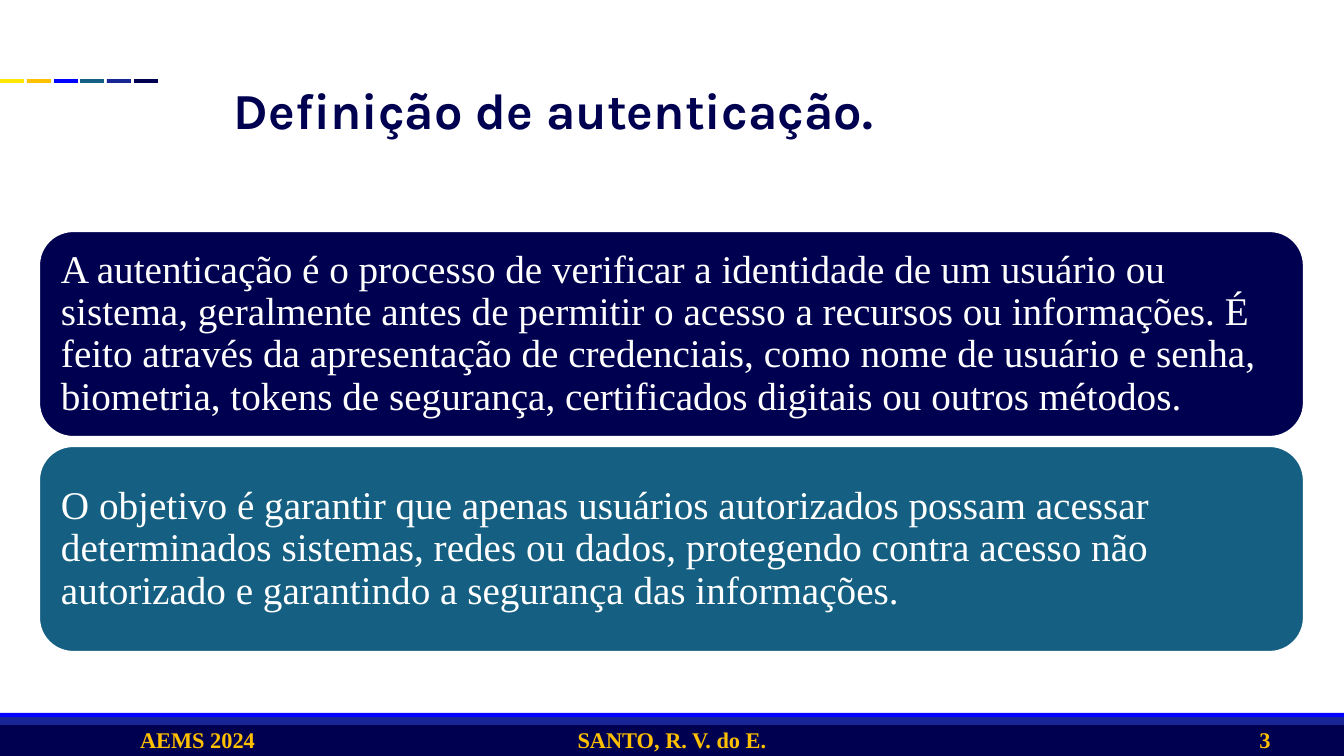
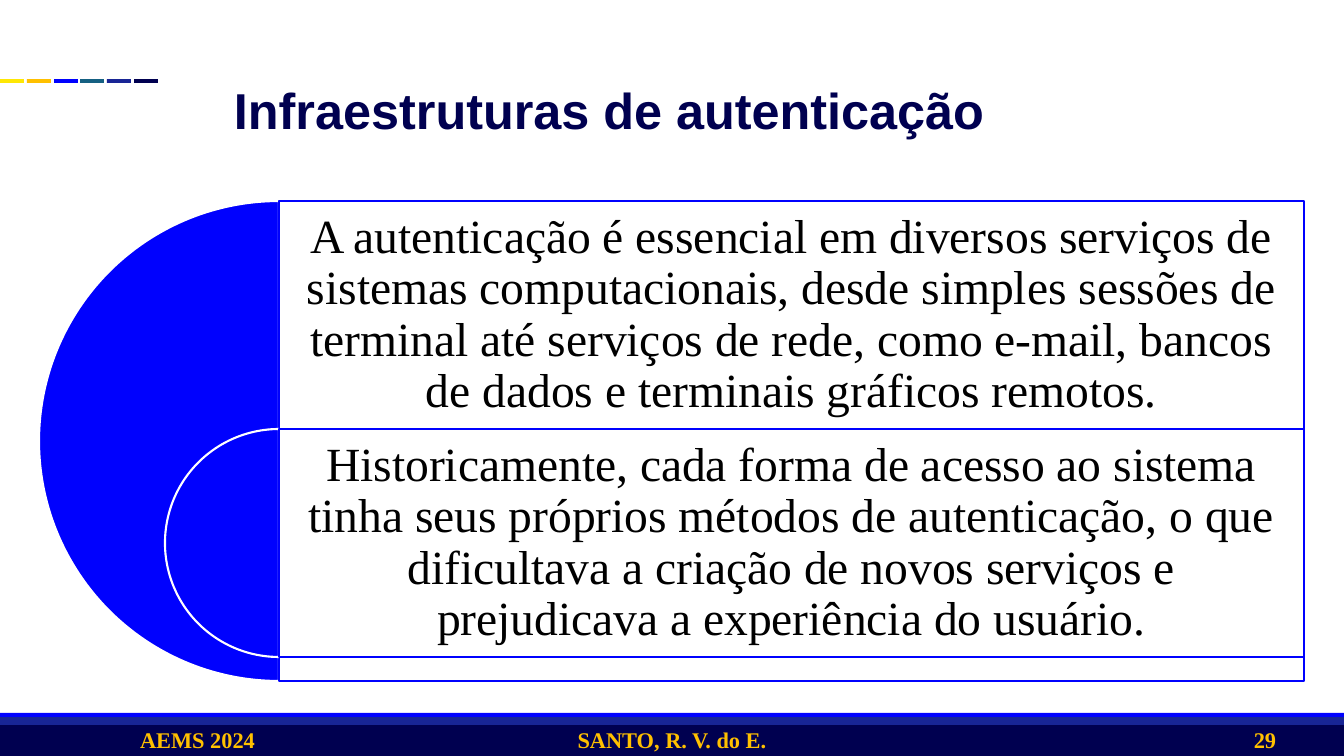
from lxml import etree
from pptx import Presentation
from pptx import util as u
from pptx.dml.color import RGBColor
from pptx.enum import shapes, text

WIDE, HIGH = 1344, 756
SCALE = 12192000 / WIDE
NAVY, ROYAL, BLUE, TEAL = "000050", "182595", "0001FE", "156082"
GOLD, LEMON, WHITE, BLACK = "FFC000", "FEE705", "FFFFFF", "000000"
SERIF = "Times New Roman"
DASHES = [LEMON, GOLD, BLUE, TEAL, ROYAL, NAVY]
BANDS = [(725, 31, NAVY), (717, 8, ROYAL), (713, 4, BLUE)]
KIND = shapes.MSO_SHAPE
ALIGN = text.PP_ALIGN
A = "http://schemas.openxmlformats.org/drawingml/2006/main"


def px(n):
    return u.Emu(round(n * SCALE))


def rgb(code):
    return RGBColor.from_string(code)


def write(shape, words, size=28, font=SERIF, color=WHITE, bold=False,
          align=ALIGN.LEFT, space=0.9, inset=10, tall=None):
    """Fill a shape with one formatted paragraph; tall is the vertical inset."""
    frame = shape.text_frame
    frame.word_wrap = True
    frame.auto_size = text.MSO_AUTO_SIZE.NONE
    frame.vertical_anchor = text.MSO_ANCHOR.MIDDLE
    frame.margin_left = frame.margin_right = px(inset)
    frame.margin_top = frame.margin_bottom = px(inset if tall is None else tall)
    para = frame.paragraphs[0]
    para.alignment, para.line_spacing = align, space
    run = para.add_run()
    run.text = words
    run.font.name, run.font.size, run.font.bold = font, u.Pt(size), bold
    run.font.color.rgb = rgb(color)


def draw(slide, box, fill, kind=KIND.RECTANGLE, line=None, alpha=None):
    shape = slide.shapes.add_shape(kind, *map(px, box))
    shape.shadow.inherit = False
    shape.fill.solid()
    shape.fill.fore_color.rgb = rgb(fill)
    if alpha:
        tint = shape.fill._xPr.find(f".//{{{A}}}srgbClr")
        etree.SubElement(tint, f"{{{A}}}alpha", val=str(alpha * 1000))
    if line:
        shape.line.color.rgb = rgb(line)
        shape.line.width = u.Pt(1.5)
    else:
        shape.line.fill.background()
    return shape


def footer(slide, number):
    for top, high, fill in BANDS:
        draw(slide, (0, top, WIDE, high), fill)
    parts = [(126, 143, "AEMS 2024"), (555, 234, "SANTO, R. V. do E."),
             (1225, 80, number)]
    for left, wide, words in parts:
        cell = draw(slide, (left, 728, wide, 24), NAVY)
        write(cell, words, size=16, color=GOLD, bold=True,
              align=ALIGN.CENTER, space=1, tall=5)


def start(deck, title, font, number):
    """Add a slide with its title, dashes and footer."""
    slide = deck.slides.add_slide(deck.slide_layouts[5])
    head = slide.shapes.title
    head.left, head.top, head.width, head.height = map(px, (224, 40, 1081, 146))
    write(head, title, size=36, font=font, color=NAVY, bold=True, tall=5)
    for i, fill in enumerate(DASHES):
        draw(slide, (round(i * 26.8), 79, 24, 4), fill)
    footer(slide, number)
    return slide


def cards(slide, box, items, gap=9):
    """Stack rounded cards of equal height in the box."""
    left, top, wide, high = box
    each = (high - gap * (len(items) - 1)) // len(items)
    for i, (fill, words) in enumerate(items):
        card = draw(slide, (left, top + i * (each + gap), wide, each), fill,
                    KIND.ROUNDED_RECTANGLE, WHITE)
        write(card, words, inset=12)


def half(slide, center, top, size):
    """Draw the left half of a disc."""
    disc = draw(slide, (center - size // 2, top, size, size), BLUE,
                KIND.PIE, WHITE)
    disc.adjustments[0], disc.adjustments[1] = 54, 162


def target(slide, box, items, row=228):
    """Nest half discs beside text rows; each disc ends above the last."""
    left, top, wide, high = box
    center = left + high // 2
    span = left + wide - center
    for i, words in enumerate(items):
        y = top + i * row
        size = high if i == 0 else row * (len(items) - i)
        half(slide, center, y, size)
        draw(slide, (center, y, span, size), WHITE, line=BLUE, alpha=90)
        label = slide.shapes.add_textbox(*map(px, (center, y, span, row)))
        write(label, words, size=34, color=BLACK, align=ALIGN.CENTER, inset=14)


def main():
    deck = Presentation()
    deck.slide_width, deck.slide_height = px(WIDE), px(HIGH)

    slide = start(deck, "Definição de autenticação.", "Karla", "3")
    cards(slide, (39, 231, 1265, 421), [
        (NAVY, "A autenticação é o processo de verificar a identidade de um "
               "usuário ou sistema, geralmente antes de permitir o acesso a "
               "recursos ou informações. É feito através da apresentação de "
               "credenciais, como nome de usuário e senha, biometria, tokens "
               "de segurança, certificados digitais ou outros métodos."),
        (TEAL, "O objetivo é garantir que apenas usuários autorizados possam "
               "acessar determinados sistemas, redes ou dados, protegendo "
               "contra acesso não autorizado e garantindo a segurança das "
               "informações."),
    ])

    slide = start(deck, "Infraestruturas de autenticação", "Arial", "29")
    target(slide, (39, 201, 1265, 480), [
        "A autenticação é essencial em diversos serviços de sistemas "
        "computacionais, desde simples sessões de terminal até serviços de "
        "rede, como e-mail, bancos de dados e terminais gráficos remotos.",
        "Historicamente, cada forma de acesso ao sistema tinha seus próprios "
        "métodos de autenticação, o que dificultava a criação de novos "
        "serviços e prejudicava a experiência do usuário.",
    ])
    deck.save("out.pptx")


if __name__ == "__main__":
    main()
